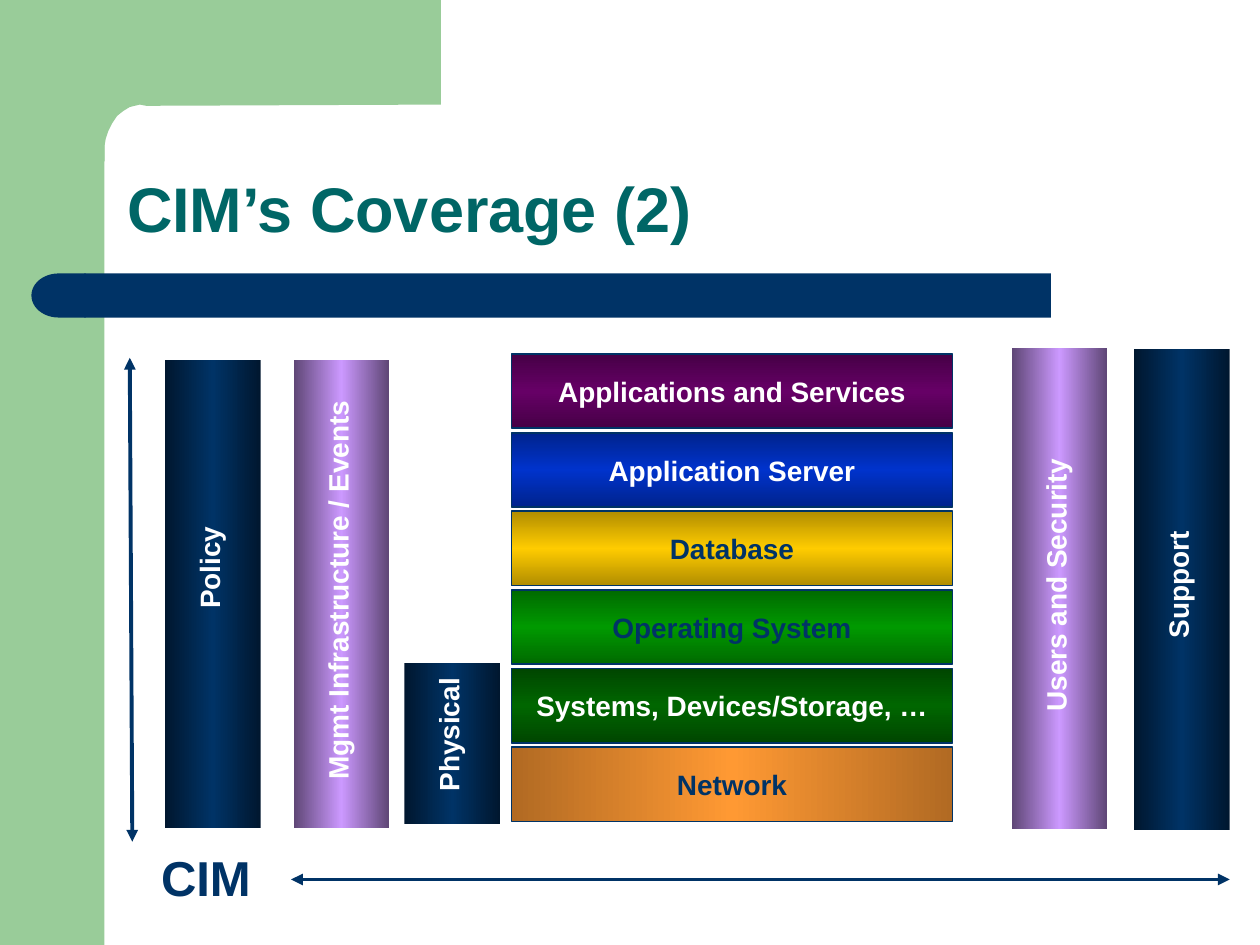
from copy import deepcopy

from pptx import Presentation
from pptx.dml.color import RGBColor
from pptx.enum.shapes import MSO_CONNECTOR, MSO_SHAPE
from pptx.enum.text import MSO_ANCHOR, PP_ALIGN
from pptx.oxml.ns import qn
from pptx.oxml.xmlchemy import OxmlElement
from pptx.util import Inches, Pt

COLORS = {
    "sage": "99CC99", "navy": "003366", "teal": "006666", "white": "FFFFFF",
    "navy_edge": "00172F", "lilac": "CC99FF", "lilac_edge": "5E4675",
    "plum": "660066", "plum_edge": "460046", "blue": "0033CC", "blue_edge": "00238D",
    "gold": "FFCC00", "gold_edge": "B18D00", "green": "009900", "green_edge": "006A00",
    "forest": "006600", "forest_edge": "004600", "orange": "FF9933", "orange_edge": "B16A23",
}
RGB = {name: RGBColor.from_string(value) for name, value in COLORS.items()}

prs = Presentation()
prs.slide_width, prs.slide_height = Inches(10), Inches(7.5)
s = prs.slides.add_slide(prs.slide_layouts[6])


def add_box(kind, x, y, w, h, color, angle=None):
    """Add a borderless shape; with an angle, shade it from dark edges to a bright middle."""
    sp = s.shapes.add_shape(kind, Inches(x), Inches(y), Inches(w), Inches(h))
    sp.shadow.inherit = False
    sp.line.fill.background()
    if angle is None:
        sp.fill.solid()
        sp.fill.fore_color.rgb = RGB[color]
        return sp
    sp.fill.gradient()
    sp.fill.gradient_angle = angle
    stops = sp._element.spPr.find(qn("a:gradFill")).find(qn("a:gsLst"))
    stops.append(deepcopy(stops[0]))
    for i, stop in enumerate(sp.fill.gradient_stops):
        stop.position = i / 2
        stop.color.rgb = RGB[color if i == 1 else color + "_edge"]
    return sp


def add_text(sp, text, size, color, wrap=False):
    """Write one bold Arial line into a shape or text box."""
    tf = sp.text_frame
    tf.word_wrap = wrap
    p = tf.paragraphs[0]
    r = p.add_run()
    r.text = text
    r.font.name, r.font.size, r.font.bold = "Arial", Pt(size), True
    r.font.color.rgb = RGB[color]
    return p


# Green side panel and top corner with its rounded inner edge
add_box(MSO_SHAPE.RECTANGLE, 0, 0, 0.83, 7.5, "sage")
corner = [(3.5, 0.83), (1.16, 0.84), (1.11, 0.83), (1.03, 0.85), (0.98, 0.88), (0.93, 0.92),
          (0.89, 0.98), (0.86, 1.04), (0.84, 1.1), (0.83, 1.16), (0.83, 1.28),
          (0.5, 1.28), (0.5, 0)]
builder = s.shapes.build_freeform(Inches(3.5), 0)
builder.add_line_segments([(Inches(x), Inches(y)) for x, y in corner])
sp = builder.convert_to_shape()
sp.shadow.inherit = False
sp.fill.solid()
sp.fill.fore_color.rgb = RGB["sage"]
sp.line.fill.background()

# Navy rule under the title, rounded at the left end
sp = add_box(MSO_SHAPE.ROUNDED_RECTANGLE, 0.67, 2.17, 7.67, 0.35, "navy")
sp.adjustments[0] = 0
sp = add_box(MSO_SHAPE.FLOWCHART_DELAY, 0.25, 2.17, 0.43, 0.35, "navy")
sp._element.spPr.find(qn("a:xfrm")).set("flipH", "1")

# Title
sp = s.shapes.add_textbox(Inches(0.91), Inches(0.91), Inches(8.51), Inches(1.09))
sp.text_frame.vertical_anchor = MSO_ANCHOR.BOTTOM
add_text(sp, "CIM’s Coverage (2)", 36, "teal", wrap=True).line_spacing = 0.9

# Stack of layers
layers = [
    ("Applications and Services", "plum", "white", 90),
    ("Application Server", "blue", "white", 90),
    ("Database", "gold", "navy", 90),
    ("Operating System", "green", "navy", 90),
    ("Systems, Devices/Storage, …", "forest", "white", 90),
    ("Network", "orange", "navy", 180),
]
for i, (text, color, text_color, angle) in enumerate(layers):
    sp = add_box(MSO_SHAPE.RECTANGLE, 4.06, 2.81 + i * 0.624, 3.5, 0.59, color, angle)
    sp.line.color.rgb = RGB["navy"]
    sp.line.width = Pt(1)
    sp.text_frame.vertical_anchor = MSO_ANCHOR.MIDDLE
    add_text(sp, text, 16, text_color).alignment = PP_ALIGN.CENTER

# Pillars with upward labels: text, x, y, height, colour, label length, label centre
BAR_W, LABEL_H = 0.76, 0.37
pillars = [
    ("Users and Security", 8.03, 2.76, 3.82, "lilac", 2.21, 4.64),
    ("Policy", 1.31, 2.86, 3.71, "navy", 0.86, 4.5),
    ("Support", 9, 2.77, 3.82, "navy", 1.05, 4.64),
    ("Mgmt Infrastructure / Events", 2.33, 2.86, 3.71, "lilac", 3.21, 4.68),
    ("Physical", 3.21, 5.26, 1.28, "navy", 1.1, 5.83),
]
for text, x, y, h, color, length, centre in pillars:
    add_box(MSO_SHAPE.RECTANGLE, x, y, BAR_W, h, color, 180)
    left = x + BAR_W / 2 - 0.03 - length / 2
    sp = s.shapes.add_textbox(Inches(left), Inches(centre - LABEL_H / 2),
                              Inches(length), Inches(LABEL_H))
    sp.rotation = 270
    add_text(sp, text, 16, "white")

# CIM label and its two double-headed arrows
sp = s.shapes.add_textbox(Inches(1.18), Inches(6.68), Inches(0.91), Inches(0.57))
add_text(sp, "CIM", 28, "navy")
for x1, y1, x2, y2 in [(2.31, 6.98, 9.76, 6.98), (1.03, 2.84, 1.05, 6.68)]:
    arrow = s.shapes.add_connector(MSO_CONNECTOR.STRAIGHT, Inches(x1), Inches(y1),
                                   Inches(x2), Inches(y2))
    arrow.line.color.rgb = RGB["navy"]
    arrow.line.width = Pt(2.25)
    ln = arrow.line._get_or_add_ln()
    for tag in ("a:headEnd", "a:tailEnd"):
        end = OxmlElement(tag)
        end.set("type", "triangle")
        ln.append(end)
    arrow._element.spPr.append(OxmlElement("a:effectLst"))

prs.save("out.pptx")
